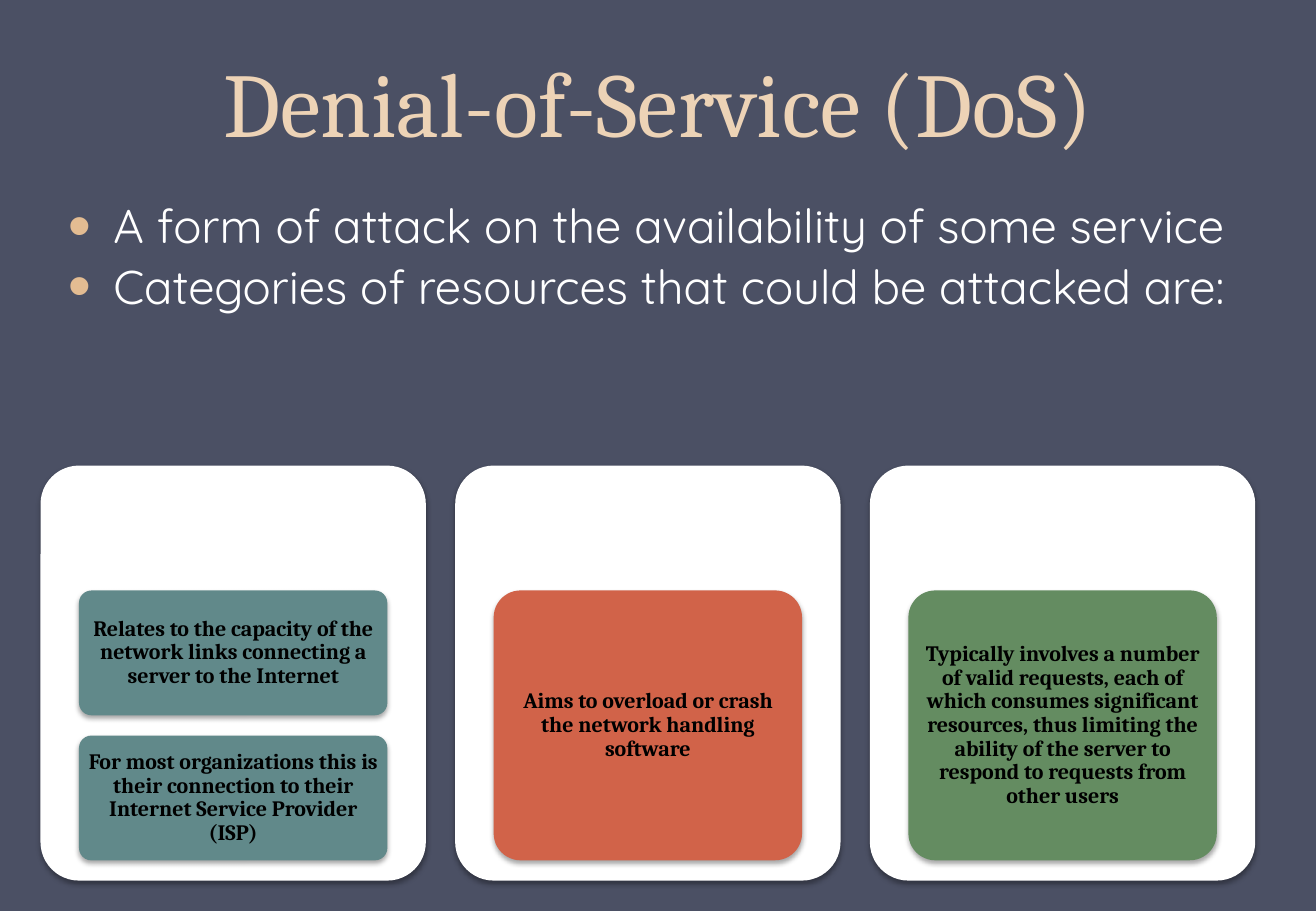
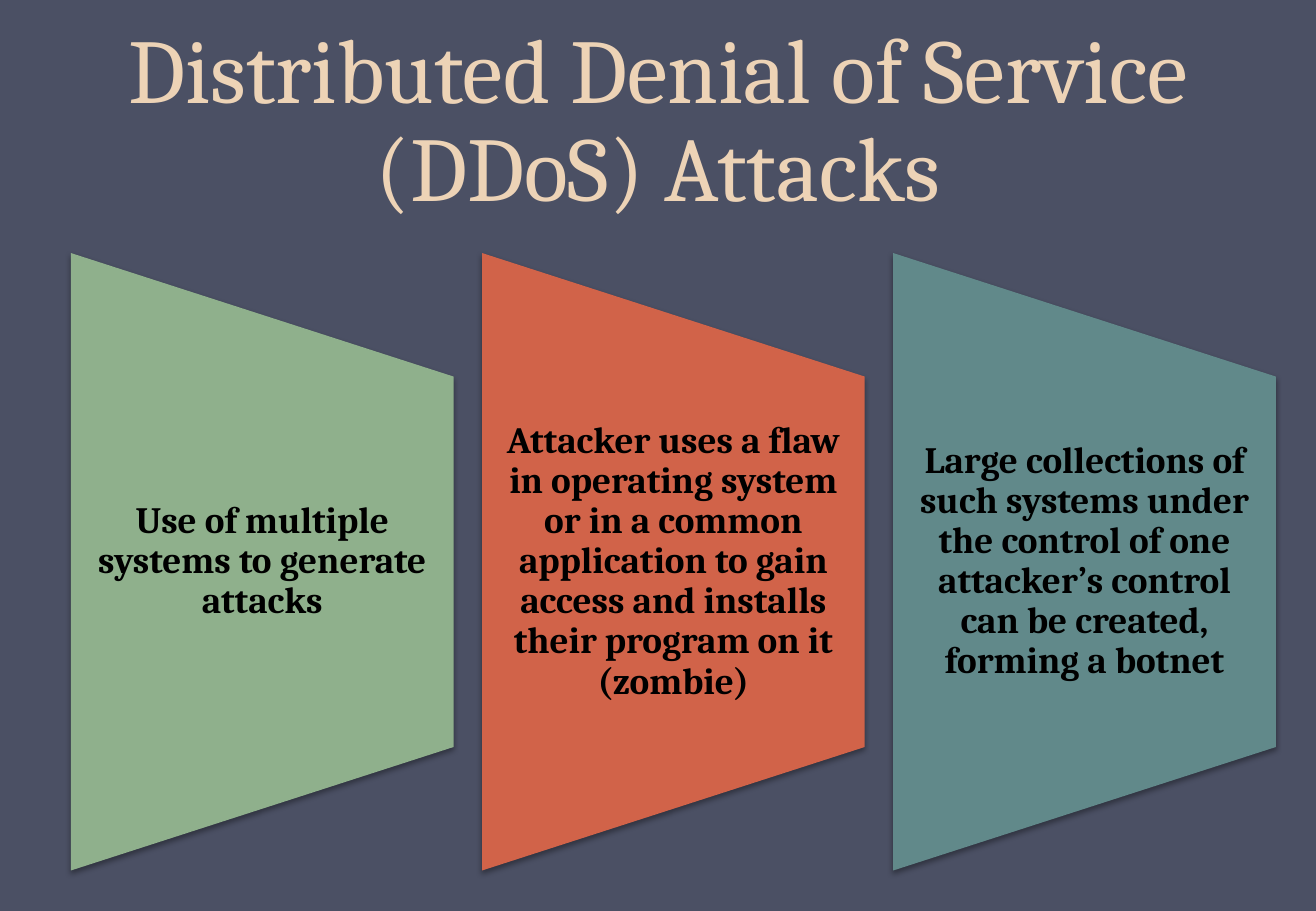
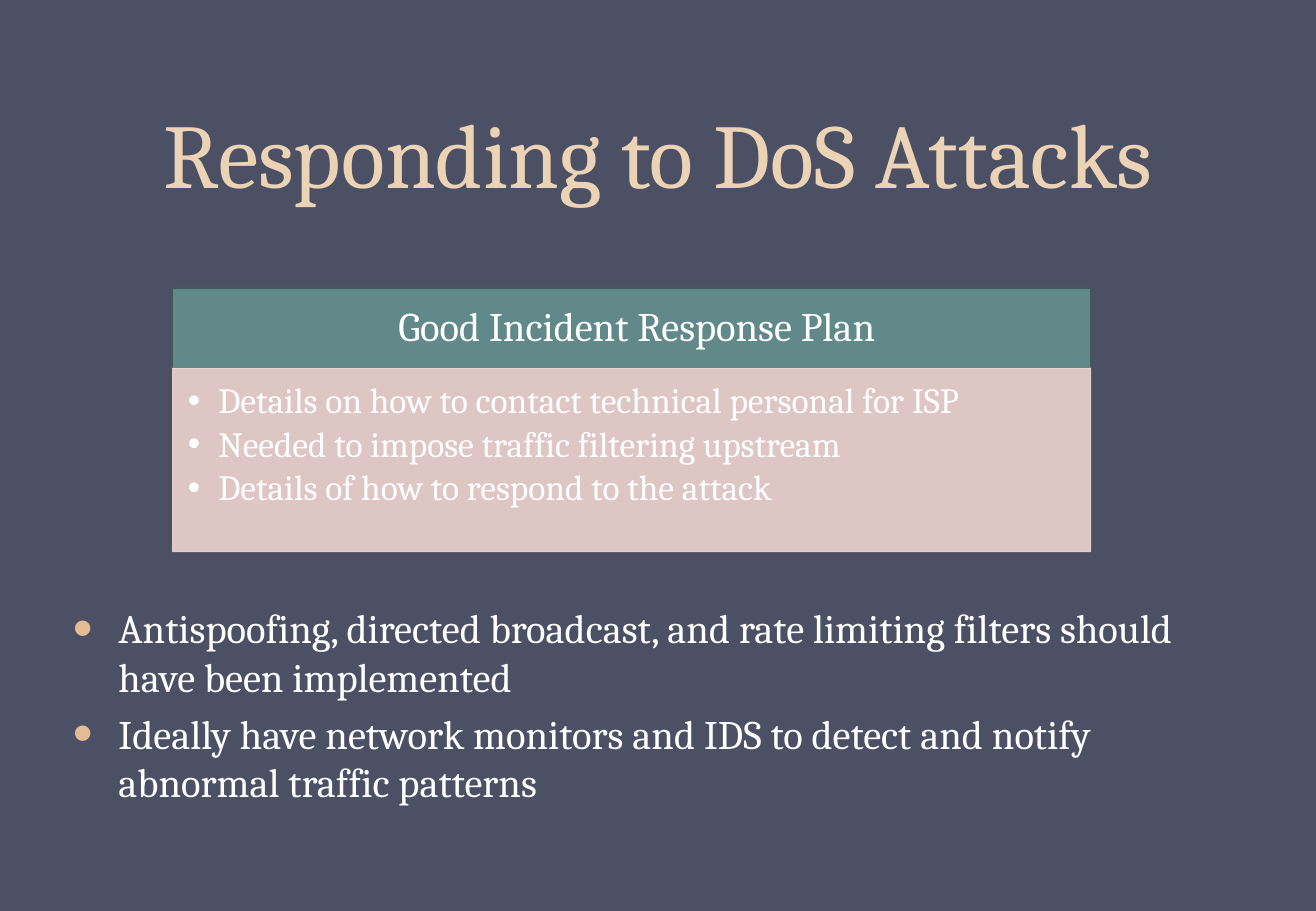
from lxml.etree import SubElement
from pptx import Presentation
from pptx.dml.color import RGBColor
from pptx.enum.shapes import MSO_SHAPE as Shape
from pptx.enum.text import MSO_ANCHOR as Anchor, MSO_AUTO_SIZE as AutoSize, PP_ALIGN as Align
from pptx.oxml.ns import qn
from pptx.util import Pt

SLATE = RGBColor(0x4B, 0x50, 0x64)
SAND = RGBColor(0xED, 0xD3, 0xB6)
APRICOT = RGBColor(0xE3, 0xBC, 0x92)
WHITE = RGBColor(0xFF, 0xFF, 0xFF)
BLACK = RGBColor(0, 0, 0)
TEAL = RGBColor(0x61, 0x89, 0x8A)
DARK_TEAL = RGBColor(0x41, 0x5B, 0x5C)
RUST = RGBColor(0xD1, 0x63, 0x49)
GREEN = RGBColor(0x64, 0x8C, 0x61)
SAGE = RGBColor(0x8F, 0xB0, 0x8C)
PINK = RGBColor(0xEE, 0xD3, 0xD0)


def write(shape, lines, size, color, font="Cambria", bold=False, align=Align.CENTER,
          anchor=Anchor.MIDDLE, insets=(7.2, 3.6, 7.2, 3.6), leading=0.9,
          before=0, after=0, bullet=None):
    frame = shape.text_frame
    frame.text = "\n".join(lines)
    frame.word_wrap = True
    frame.auto_size = AutoSize.NONE
    frame.vertical_anchor = anchor
    frame.margin_left, frame.margin_top, frame.margin_right, frame.margin_bottom = map(Pt, insets)
    for index, para in enumerate(frame.paragraphs):
        if bullet:
            indent, mark_color, percent = bullet
            props = para._p.get_or_add_pPr()
            props.set("marL", str(Pt(indent)))
            props.set("indent", str(-Pt(indent)))
            mark = SubElement(props, qn("a:buClr"))
            SubElement(mark, qn("a:srgbClr"), val=str(mark_color))
            SubElement(props, qn("a:buSzPct"), val=str(percent * 1000))
            SubElement(props, qn("a:buFont"), typeface="Arial")
            SubElement(props, qn("a:buChar"), char="•")
        para.alignment = align
        para.line_spacing = leading
        para.space_before = Pt(before if index else 0)
        para.space_after = Pt(after)
        for span in para.runs:
            span.font.name = font
            span.font.size = Pt(size)
            span.font.bold = bold
            span.font.color.rgb = color


def add_panel(page, kind, box, color, shadow=True):
    panel = page.shapes.add_shape(kind, *map(Pt, box))
    panel.fill.solid()
    panel.fill.fore_color.rgb = color
    panel.line.fill.background()
    panel.shadow.inherit = False
    if kind == Shape.ROUNDED_RECTANGLE:
        panel.adjustments[0] = 0.1
    if shadow:
        effects = panel._element.spPr.find(qn("a:effectLst"))
        outer = SubElement(effects, qn("a:outerShdw"), blurRad=str(Pt(3.1)),
                           dist=str(Pt(1.8)), dir="5400000", rotWithShape="0")
        shade = SubElement(outer, qn("a:srgbClr"), val=str(BLACK))
        SubElement(shade, qn("a:alpha"), val="35000")
    return panel


deck = Presentation()
deck.slide_width, deck.slide_height = Pt(780), Pt(540)
background = deck.slide_master.background.fill
background.solid()
background.fore_color.rgb = SLATE

TITLE_AND_BODY, TITLE_ONLY = deck.slide_layouts[1], deck.slide_layouts[5]
pages = []
for layout, title, box in [
    (TITLE_AND_BODY, "Denial-of-Service (DoS)", (39, 0, 702, 96)),
    (TITLE_ONLY, "Distributed Denial of Service (DDoS) Attacks", (0, 9.4, 780, 124.6)),
    (TITLE_AND_BODY, "Responding to DoS Attacks", (39, 0, 702, 126)),
]:
    page = deck.slides.add_slide(layout)
    heading = page.shapes.title
    heading.left, heading.top, heading.width, heading.height = map(Pt, box)
    write(heading, [title], 54, SAND, anchor=Anchor.BOTTOM, leading=Pt(58))
    pages.append(page)
dos_page, ddos_page, response_page = pages

for page, box, lines, size, font, leading in [
    (dos_page, (33, 116.6, 714, 378),
     ["A form of attack on the availability of some service",
      "Categories of resources that could be attacked are:"], 28, "Quicksand", 0.9),
    (response_page, (36, 354, 702, 186),
     ["Antispoofing, directed broadcast, and rate limiting filters should have been implemented",
      "Ideally have network monitors and IDS to detect and notify abnormal traffic patterns"],
     24, "Cambria", 1.0),
]:
    body = page.placeholders[1]
    body.left, body.top, body.width, body.height = map(Pt, box)
    write(body, lines, size, WHITE, font=font, align=Align.LEFT, anchor=Anchor.TOP,
          leading=leading, before=size * 0.2, bullet=(27, APRICOT, 140))

TILE_AREA, TILE_GAP = 160, 12
for column, (color, tiles) in enumerate([
    (TEAL, ["Relates to the capacity of the network links connecting a server to the Internet",
            "For most organizations this is their connection to their Internet Service Provider (ISP)"]),
    (RUST, ["Aims to overload or crash the network handling software"]),
    (GREEN, ["Typically involves a number of valid requests, each of which consumes significant "
             "resources, thus limiting the ability of the server to respond to requests from "
             "other users"]),
]):
    left = 24 + column * 245.8
    add_panel(dos_page, Shape.ROUNDED_RECTANGLE, (left, 276, 228.4, 246), WHITE)
    height = (TILE_AREA - TILE_GAP * (len(tiles) - 1)) / len(tiles)
    for row, words in enumerate(tiles):
        top = 350 + row * (height + TILE_GAP)
        tile = add_panel(dos_page, Shape.ROUNDED_RECTANGLE, (left + 22.8, top, 182.8, height), color)
        write(tile, [words], 13, BLACK, bold=True, insets=(2.6, 1.95, 2.6, 1.95))

LENGTH, BREADTH, MIDDLE = 366, 226.8, 333
for column, (color, words) in enumerate([
    (SAGE, "Use of multiple systems to generate attacks"),
    (RUST, "Attacker uses a flaw in operating system or in a common application to gain access "
           "and installs their program on it (zombie)"),
    (TEAL, "Large collections of such systems under the control of one attacker’s control can be "
           "created, forming a botnet"),
]):
    left = 42 + column * 243.7
    wedge = add_panel(ddos_page, Shape.FLOWCHART_MANUAL_OPERATION,
                      (left + (BREADTH - LENGTH) / 2, MIDDLE - BREADTH / 2, LENGTH, BREADTH), color)
    wedge.rotation = 270
    label = ddos_page.shapes.add_textbox(Pt(left), Pt(MIDDLE - 110), Pt(BREADTH), Pt(220))
    write(label, [words], 22, BLACK, bold=True, insets=(11, 0, 11, 0))

plan_header = add_panel(response_page, Shape.RECTANGLE, (102.4, 170.8, 544, 47.4), TEAL, shadow=False)
plan_header.line.color.rgb = DARK_TEAL
plan_header.line.width = Pt(0.75)
write(plan_header, ["Good Incident Response Plan"], 24, WHITE, insets=(20, 8, 14, 8))

plan_details = add_panel(response_page, Shape.RECTANGLE, (102.4, 218.2, 544, 108.7), PINK, shadow=False)
plan_details.line.color.rgb = PINK
plan_details.line.width = Pt(0.75)
for tint in plan_details._element.spPr.iter(qn("a:srgbClr")):
    SubElement(tint, qn("a:alpha"), val="90000")
write(plan_details, ["Details on how to contact technical personal for ISP",
                     "Needed to impose traffic filtering upstream",
                     "Details of how to respond to the attack"],
      21, WHITE, align=Align.LEFT, anchor=Anchor.TOP, insets=(9, 9, 12, 13),
      after=3, bullet=(18, WHITE, 100))

deck.save("out.pptx")
